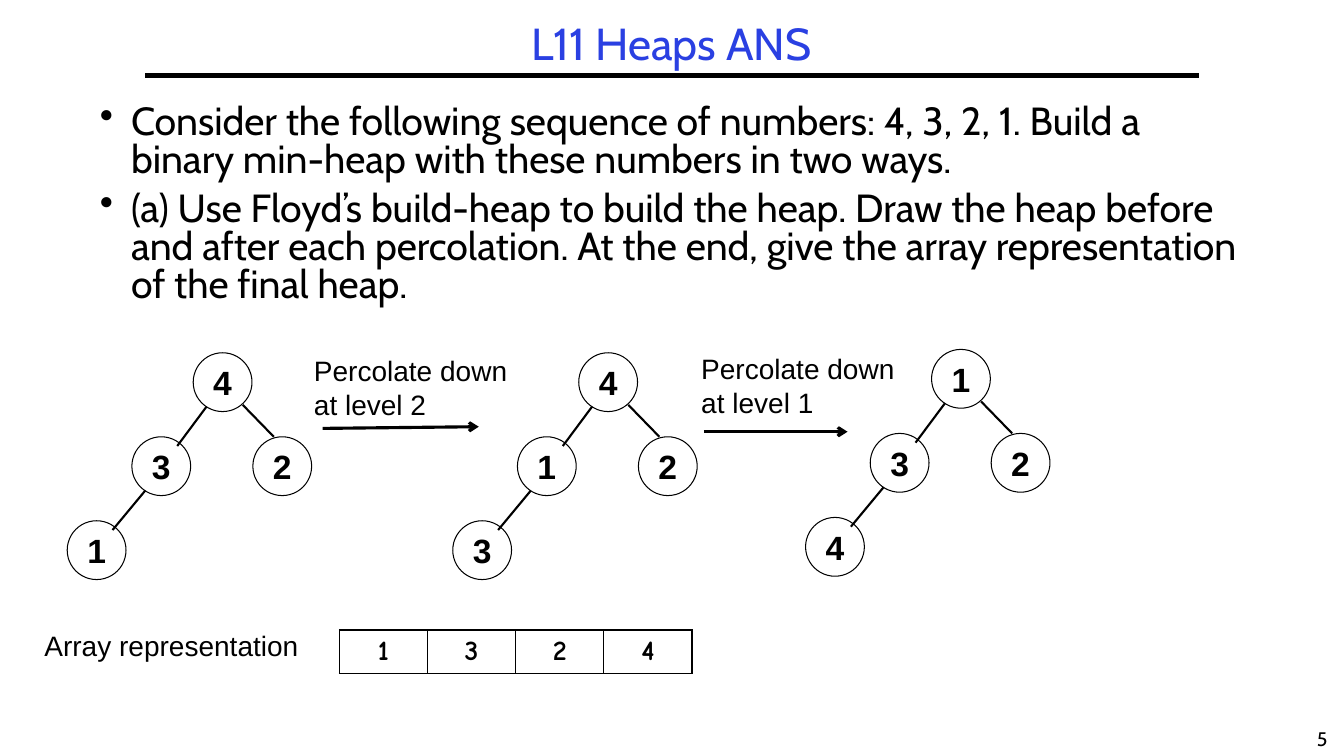
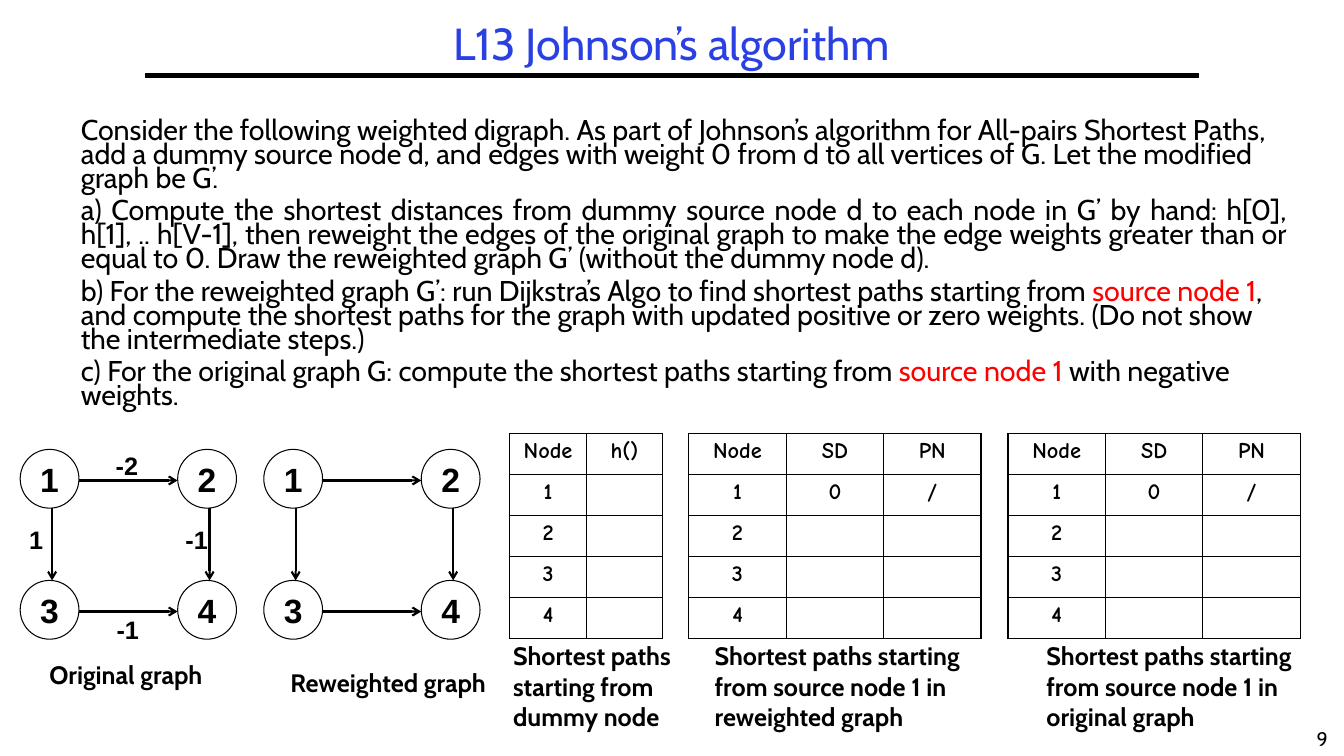
"""Build two algorithm exercise slides: heap construction and Johnson's algorithm."""
from lxml import etree
from pptx import Presentation
from pptx import util as u
from pptx.dml.color import RGBColor
from pptx.enum import shapes, text
from pptx.oxml.ns import qn

BLACK = RGBColor(0x00, 0x00, 0x00)
WHITE = RGBColor(0xFF, 0xFF, 0xFF)
BLUE = RGBColor(0x2A, 0x40, 0xE2)
RED = RGBColor(0xFF, 0x00, 0x00)
SANS, BODY, HAND = "Arial", "Cabin", "Comic Neue"
COLUMNS, ROWS = 160, 90
WIDTH, HEIGHT = u.Inches(13.33), u.Inches(7.5)
NODE = 7
LEVEL = 10
CENTER = text.PP_ALIGN.CENTER
SOURCE = ("source node 1", RED)


def col(count):
    """Turn grid columns into a length."""
    return u.Emu(round(WIDTH * count / COLUMNS))


def row(count):
    """Turn grid rows into a length."""
    return u.Emu(round(HEIGHT * count / ROWS))


def area(left, top, width, height):
    """Turn a grid rectangle into lengths."""
    return col(left), row(top), col(width), row(height)


def style(para, size, face, color=BLACK, bold=False, align=None):
    """Set the font and alignment of a paragraph."""
    para.alignment = align
    font = para.font
    font.size, font.name, font.bold = u.Pt(size), face, bold
    font.color.rgb = color


def add_text(page, place, lines, size, face, wrap=True, anchor=text.MSO_ANCHOR.TOP, **look):
    """Add a text box with one paragraph per line."""
    frame = page.shapes.add_textbox(*area(*place)).text_frame
    frame.word_wrap, frame.vertical_anchor = wrap, anchor
    for index, line in enumerate(lines):
        para = frame.add_paragraph() if index else frame.paragraphs[0]
        para.text = line
        style(para, size, face, **look)
    return frame


def add_body(page, place, paragraphs, size, spacing, margin, bullet=None, justified=()):
    """Add the question text; each paragraph is a list of (text, colour) spans."""
    frame = page.shapes.add_textbox(*area(*place)).text_frame
    frame.word_wrap = True
    for index, pieces in enumerate(paragraphs):
        para = frame.add_paragraph() if index else frame.paragraphs[0]
        props = para._p.get_or_add_pPr()
        props.set("marL", str(u.Inches(margin)))
        if bullet:
            props.set("indent", str(-u.Inches(margin)))
            etree.SubElement(props, qn("a:buChar"), char=bullet)
        style(para, size, BODY, align=text.PP_ALIGN.JUSTIFY if index in justified else None)
        para.line_spacing = spacing
        para.space_before = u.Pt(0.3 * size if index else 0)
        for words, color in pieces:
            span = para.add_run()
            span.text = words
            if color != BLACK:
                span.font.color.rgb = color


def add_line(page, start, end, weight=1.5, arrow=False):
    """Add a straight line between two grid points."""
    line = page.shapes.add_connector(
        shapes.MSO_CONNECTOR.STRAIGHT, col(start[0]), row(start[1]), col(end[0]), row(end[1]))
    line.line.color.rgb, line.line.width = BLACK, u.Pt(weight)
    if arrow:
        etree.SubElement(line.line._get_or_add_ln(), qn("a:tailEnd"), type="arrow")
    etree.SubElement(line._element.spPr, qn("a:effectLst"))


def add_node(page, left, top, label):
    """Add a labelled circle."""
    node = page.shapes.add_shape(shapes.MSO_SHAPE.OVAL, *area(left, top, NODE, NODE))
    node.shadow.inherit = False
    node.fill.solid()
    node.fill.fore_color.rgb = WHITE
    node.line.color.rgb, node.line.width = BLACK, u.Pt(0.75)
    frame = node.text_frame
    frame.word_wrap, frame.vertical_anchor = False, text.MSO_ANCHOR.MIDDLE
    para = frame.paragraphs[0]
    para.text = label
    style(para, 24, SANS, bold=True, align=CENTER)


def add_heap(page, left, top, labels):
    """Add a four-node heap, its labels in array order."""
    root, child, right, leaf = spots = [
        (left, top), (left - 7.3, top + LEVEL), (left + 7.1, top + LEVEL), (left - 15, top + 2 * LEVEL)]
    for spot, label in zip(spots, labels):
        add_node(page, *spot, label)
    for upper, lower in ((root, child), (child, leaf)):
        add_line(page, (upper[0] + 1.6, upper[1] + 6.4), (lower[0] + 5.4, lower[1] + 1.1))
    add_line(page, (root[0] + 5.9, root[1] + 6.2), (right[0] + 2.5, right[1]))


def add_graph(page, left, top):
    """Add the square digraph with its four edges."""
    across, down = 18.75, 15.6
    for index, label in enumerate("1234"):
        add_node(page, left + index % 2 * across, top + index // 2 * down, label)
    for step in range(2):
        y, x = top + 3.7 + step * down, left + 3.8 + step * across
        add_line(page, (left + NODE, y), (left + across, y), arrow=True)
        add_line(page, (x, top + NODE), (x, top + down), arrow=True)


def add_grid(page, left, top, cell_width, cell_height, rows, size):
    """Add a plain table with thin black borders."""
    place = area(left, top, cell_width * len(rows[0]), cell_height * len(rows))
    table = page.shapes.add_table(len(rows), len(rows[0]), *place).table
    table.first_row = table.horz_banding = False
    for r, values in enumerate(rows):
        for c, value in enumerate(values):
            cell = table.cell(r, c)
            para = cell.text_frame.paragraphs[0]
            para.text = value
            style(para, size, HAND, bold=True, align=CENTER)
            props = cell._tc.get_or_add_tcPr()
            for side in ("a:lnL", "a:lnR", "a:lnT", "a:lnB"):
                border = etree.SubElement(props, qn(side), w=str(u.Pt(1)))
                fill = etree.SubElement(border, qn("a:solidFill"))
                etree.SubElement(fill, qn("a:srgbClr"), val=str(BLACK))
            cell.fill.background()


def add_page(deck, title, number):
    """Add a blank page with the title, rule and page number."""
    page = deck.slides.add_slide(deck.slide_layouts[6])
    add_text(page, (154.8, 86, 5.2, 4), [number], 14, BODY, wrap=False, align=CENTER)
    add_line(page, (17.3, 9), (142.7, 9), 3)
    frame = add_text(page, (17.3, 2, 125.4, 7), [title], 32, BODY,
                     anchor=text.MSO_ANCHOR.MIDDLE, color=BLUE, align=CENTER)
    frame.paragraphs[0].line_spacing = 0.9
    return page


def add_heaps_page(deck):
    """Add the page on building a heap."""
    page = add_page(deck, "L11 Heaps ANS", "5")
    add_body(page, (10.7, 12, 138.7, 27), [
        [("Consider the following sequence of numbers: 4, 3, 2, 1. Build a binary min-heap "
          "with these numbers in two ways.", BLACK)],
        [("(a) Use Floyd’s build-heap to build the heap. Draw the heap before and after each "
          "percolation. At the end, give the array representation of the final heap.", BLACK)],
    ], 28, 0.8, 0.31, bullet="•")
    for left, top, labels in ((23, 42, "4321"), (68.9, 42, "4123"), (110.9, 41.6, "1324")):
        add_heap(page, left, top, labels)
    for left, top, level in ((36.2, 41.5, 2), (82.3, 41.3, 1)):
        add_text(page, (left, top, 26, 9.2), ["Percolate down", f"at level {level}"], 20, SANS)
    add_line(page, (38.4, 51), (57, 50.8), 2.25, arrow=True)
    add_line(page, (83.8, 51.4), (100.9, 51.4), 2.25, arrow=True)
    add_text(page, (4.1, 74.2, 33.1, 5.3), ["Array representation"], 20, SANS)
    add_grid(page, 40.4, 75, 10.5, 5, ["1324"], 20)


def add_johnson_page(deck):
    """Add the page on Johnson's algorithm."""
    page = add_page(deck, "L13 Johnson’s algorithm", "9")
    add_body(page, (7.6, 13.8, 146.8, 39.1), [
        [("Consider the following weighted digraph. As part of Johnson’s algorithm for All-pairs "
          "Shortest Paths, add a dummy source node d, and edges with weight 0 from d to all "
          "vertices of G. Let the modified graph be G’.", BLACK)],
        [("a) Compute the shortest distances from dummy source node d to each node in G’ by hand: "
          "h[0], h[1], .. h[V-1], then reweight the edges of the original graph to make the edge "
          "weights greater than or equal to 0. Draw the reweighted graph G’ (without the dummy "
          "node d).", BLACK)],
        [("b) For the reweighted graph G’: run Dijkstra’s Algo to find shortest paths starting "
          "from ", BLACK), SOURCE,
         (", and compute the shortest paths for the graph with updated positive or zero weights. "
          "(Do not show the intermediate steps.)", BLACK)],
        [("c) For the original graph G: compute the shortest paths starting from ", BLACK), SOURCE,
         (" with negative weights.", BLACK)],
    ], 20.4, 0.7, 0.07, justified=(1,))
    for left in (2.4, 31.4):
        add_graph(page, left, 53.5)
    for left, top, weight in ((12.6, 53, "-2"), (12.7, 72.6, "-1"), (20.9, 61.8, "-1"), (2.3, 61.8, "1")):
        add_text(page, (left, top, 6, 4.8), [weight], 18, SANS, bold=True)

    distances = [["Node", "SD", "PN"], ["1", "0", "/"]] + [[n, "", ""] for n in "234"]
    heights = [["Node", "h()"]] + [[n, ""] for n in "1234"]
    for left, cell_width, rows in ((60.7, 9.1, heights), (82, 11.6, distances), (120, 11.6, distances)):
        add_grid(page, left, 51.6, cell_width, 4.88, rows, 16)

    paths = "Shortest paths starting from "
    for left, top, width, caption in (
            (4.7, 77.9, 22.3, "Original graph"),
            (33.4, 78.8, 27.4, "Reweighted graph"),
            (59.9, 75.7, 22.3, paths + "dummy node"),
            (83.9, 75.7, 33.6, paths + "source node 1 in reweighted graph"),
            (123.4, 75.7, 33.6, paths + "source node 1 in original graph")):
        add_text(page, (left, top, width, 4.8), [caption], 18, BODY, bold=True)


def main():
    """Build and save the deck."""
    deck = Presentation()
    deck.slide_width, deck.slide_height = WIDTH, HEIGHT
    add_heaps_page(deck)
    add_johnson_page(deck)
    deck.save("out.pptx")


if __name__ == "__main__":
    main()
